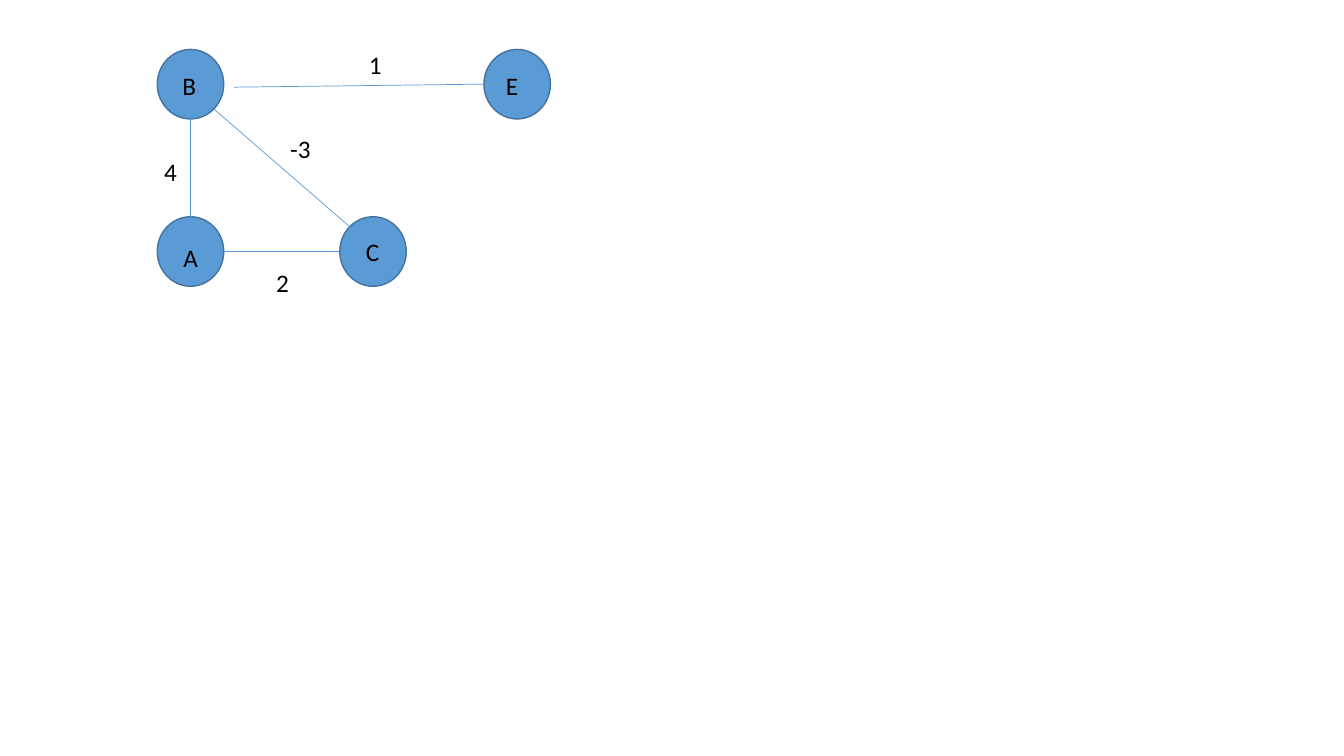
"""Build a slide with a weighted graph of four nodes and four edges."""
import pptx
import pptx.dml.color
import pptx.enum.shapes
import pptx.enum.text
import pptx.util

inch = pptx.util.Inches
colours = {"node": "5B9BD5", "outline": "43739E", "text": "000000"}
columns = {"left": 1.56, "middle": 3.37, "right": 4.8}
rows = {"top": 0.49, "bottom": 2.15}
node_width, node_height = 0.66, 0.69


def colour(name):
    return pptx.dml.color.RGBColor.from_string(colours[name])


def add_text(shapes, text, left, top, width, size=18, font="Calibri", ink="text"):
    box = shapes.add_textbox(inch(left), inch(top), inch(width), inch(0.4))
    box.text_frame.word_wrap = True
    box.text_frame.auto_size = pptx.enum.text.MSO_AUTO_SIZE.SHAPE_TO_FIT_TEXT
    span = box.text_frame.paragraphs[0].add_run()
    span.text = text
    span.font.size = pptx.util.Pt(size)
    span.font.name = font
    span.font.color.rgb = colour(ink)


deck = pptx.Presentation()
deck.slide_width, deck.slide_height = inch(13.33), inch(7.5)
page = deck.slides.add_slide(deck.slide_layouts[6])
graph = page.shapes.add_group_shape().shapes

nodes = [
    ("B", "left", "top", 0.15, 0.16),
    ("A", "left", "bottom", 0.16, 0.2),
    ("C", "middle", "bottom", 0.16, 0.15),
    ("E", "right", "top", 0.12, 0.16),
]
for name, column, row, dx, dy in nodes:
    node = graph.add_shape(
        pptx.enum.shapes.MSO_SHAPE.OVAL,
        inch(columns[column]), inch(rows[row]), inch(node_width), inch(node_height),
    )
    node.shadow.inherit = False
    node.fill.solid()
    node.fill.fore_color.rgb = colour("node")
    node.line.color.rgb = colour("outline")
    node.line.width = pptx.util.Pt(1)

left_centre = columns["left"] + node_width / 2
left_edge = columns["left"] + node_width
top_centre = rows["top"] + node_height / 2
bottom_centre = rows["bottom"] + node_height / 2
edges = [
    (left_centre, rows["top"] + node_height, left_centre, rows["bottom"]),
    (columns["middle"], bottom_centre, left_edge, bottom_centre),
    (columns["right"], top_centre, left_edge + 0.1, top_centre + 0.03),
    (left_edge - 0.1, 1.08, columns["middle"] + 0.1, rows["bottom"] + 0.1),
]
for ends in edges:
    edge = graph.add_connector(
        pptx.enum.shapes.MSO_CONNECTOR.STRAIGHT, *[inch(length) for length in ends]
    )
    edge.line.color.rgb = colour("node")
    edge.line.width = pptx.util.Pt(0.5)
    effects = pptx.oxml.parse_xml(
        '<a:effectLst xmlns:a="http://schemas.openxmlformats.org/drawingml/2006/main"/>'
    )
    edge._element.spPr.append(effects)

for name, column, row, dx, dy in nodes:
    add_text(graph, name, columns[column] + dx, rows[row] + dy, 0.41)

weights = [("2", 2.64, 2.6), ("-3", 2.78, 1.27), ("4", 1.53, 1.5), ("1", 3.56, 0.44)]
for weight, left, top in weights:
    add_text(graph, weight, left, top, 0.59)

deck.save("out.pptx")
